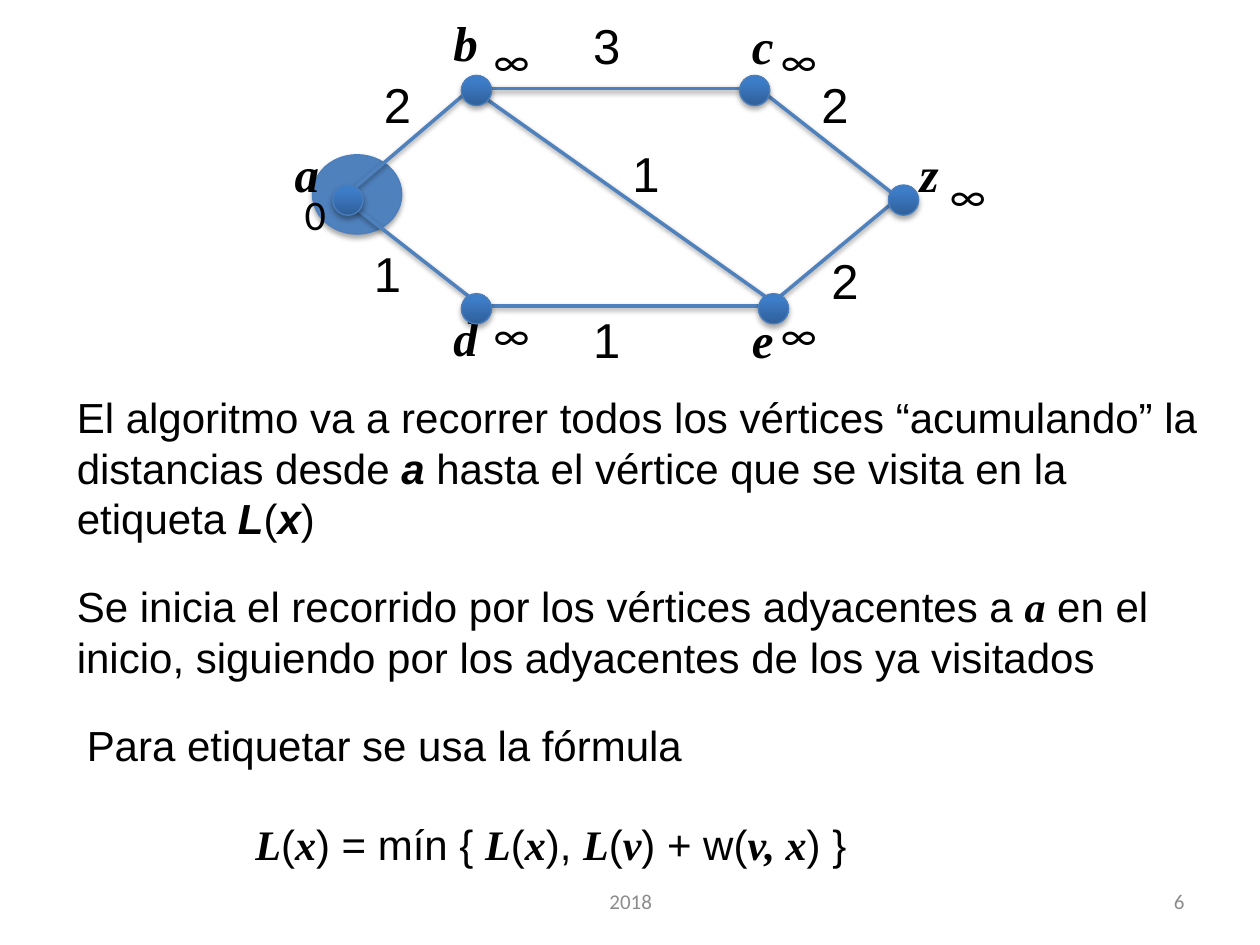
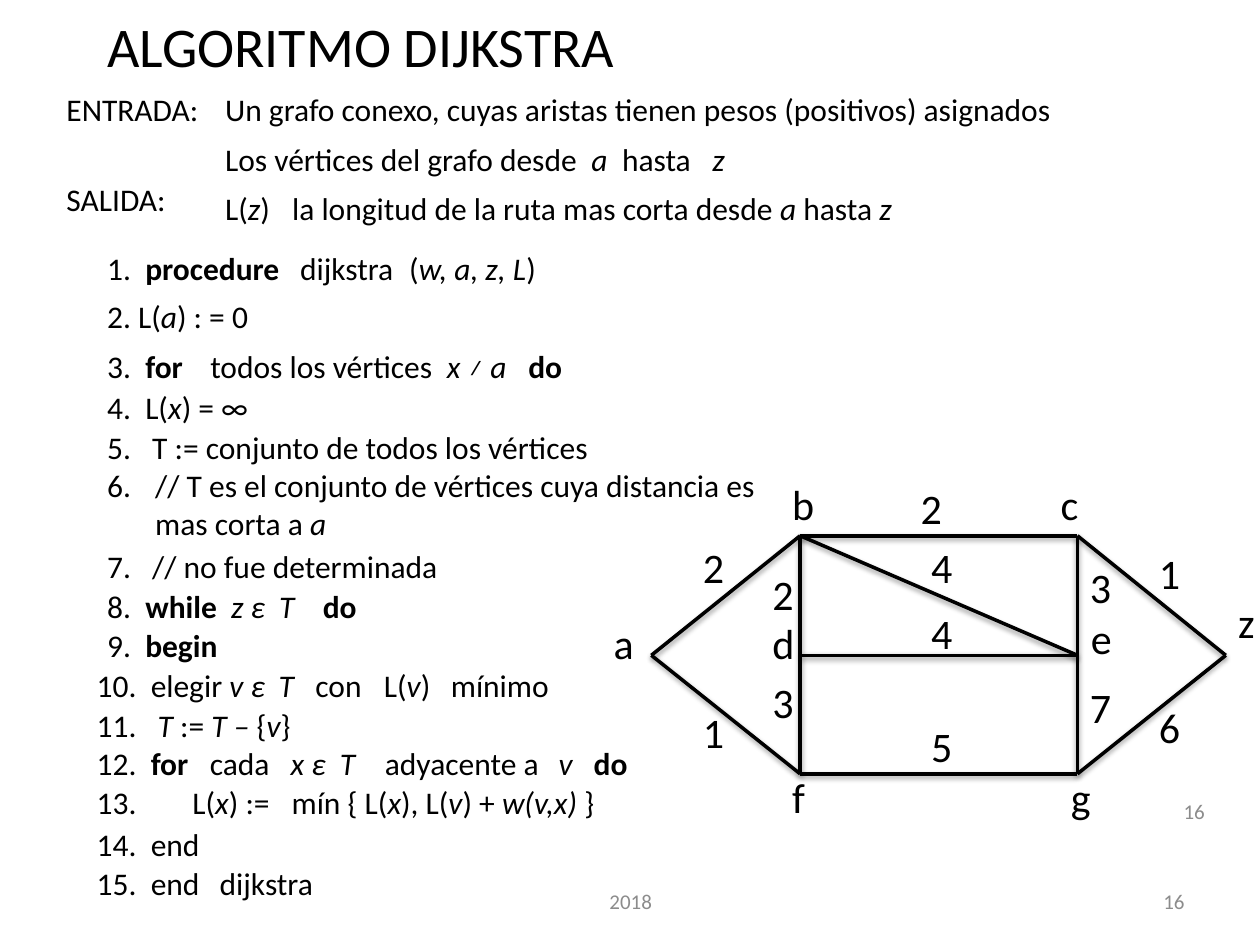
from lxml.etree import SubElement
from pptx import Presentation
from pptx.dml.color import RGBColor
from pptx.enum.shapes import MSO_CONNECTOR as CONN, MSO_SHAPE as SHAPE
from pptx.enum.text import MSO_ANCHOR as ANCHOR, MSO_AUTO_SIZE as AUTO, PP_ALIGN as ALIGN
from pptx.oxml.ns import qn
from pptx.util import Cm, Pt

BLACK = RGBColor(0x00, 0x00, 0x00)
GRAY = RGBColor(0x8C, 0x8C, 0x8C)
BLUE = RGBColor(0x4F, 0x81, 0xBD)
OUTLINE = RGBColor(0x4B, 0x7E, 0xBC)
NODE_DARK = RGBColor(0x2F, 0x5F, 0x99)
NODE_LIGHT = RGBColor(0x3D, 0x7C, 0xC7)

MARKS = {
    "~": {"italic": True},
    "*": {"bold": True},
    "#": {"bold": True, "italic": True},
    "$": {"bold": True, "italic": True, "name": "Times New Roman"},
}


def add_text(s, text, x, y, w, h, size=18, font="Calibri", color=BLACK, align=ALIGN.LEFT,
             anchor=ANCHOR.TOP, tabs=(), start=None, box=None):
    sp = box or s.shapes.add_textbox(0, 0, 0, 0)
    sp.left, sp.top, sp.width, sp.height = Cm(x), Cm(y), Cm(w), Cm(h)
    tf = sp.text_frame
    tf.word_wrap, tf.auto_size, tf.vertical_anchor = True, AUTO.NONE, anchor
    p = tf.paragraphs[0]
    p.alignment = align
    pPr = p._p.get_or_add_pPr()
    if start:
        pPr.set("marL", str(Cm(0.97)))
        pPr.set("indent", str(-Cm(0.97)))
        SubElement(pPr, qn("a:buFont"), typeface="+mj-lt")
        SubElement(pPr, qn("a:buAutoNum"), type="arabicPeriod", startAt=str(start))
    if tabs:
        tab_list = SubElement(pPr, qn("a:tabLst"))
        for pos in tabs:
            SubElement(tab_list, qn("a:tab"), pos=str(Cm(pos)), algn="l")
    for part in filter(None, text.split("|")):
        mark = MARKS.get(part[0], {})
        r = p.add_run()
        r.text = part[1:] if mark else part
        r.font.size, r.font.name, r.font.color.rgb = Pt(size), font, color
        for key, value in mark.items():
            setattr(r.font, key, value)


def outline(sp, color, width, dist, alpha):
    sp.line.color.rgb = color
    sp.line.width = Pt(width)
    effects = SubElement(sp._element.spPr, qn("a:effectLst"))
    shadow = SubElement(effects, qn("a:outerShdw"), blurRad=str(Pt(3.1)), dist=str(Pt(dist)),
                        dir="5400000", rotWithShape="0")
    black = SubElement(shadow, qn("a:srgbClr"), val="000000")
    SubElement(black, qn("a:alpha"), val=str(alpha * 1000))


prs = Presentation()
prs.slide_width, prs.slide_height = Cm(25.4), Cm(19.05)
labels = prs.slides.add_slide(prs.slide_layouts[6])
code = prs.slides.add_slide(prs.slide_layouts[5])

for s, number in ((labels, "6"), (code, "16")):
    add_text(s, "2018", 8.69, 17.65, 8.05, 1.02, size=12, color=GRAY, align=ALIGN.CENTER,
             anchor=ANCHOR.MIDDLE)
    add_text(s, number, 18.21, 17.65, 5.92, 1.02, size=12, color=GRAY, align=ALIGN.RIGHT,
             anchor=ANCHOR.MIDDLE)
add_text(code, "16", 18.62, 15.85, 5.92, 1.02, size=12, color=GRAY, align=ALIGN.RIGHT,
         anchor=ANCHOR.MIDDLE)

halo = labels.shapes.add_shape(SHAPE.OVAL, Cm(6.3), Cm(3.12), Cm(1.8), Cm(1.6))
halo.fill.solid()
halo.fill.fore_color.rgb = BLUE
outline(halo, OUTLINE, 0.75, 1.8, 35)

label_points = {"a": (6.91, 3.99), "b": (9.5, 1.78), "c": (15.29, 1.78), "d": (9.7, 6.17),
                "e": (15.49, 6.17), "E": (15.7, 6.17), "z": (18.11, 3.99)}
left, mid_left, mid_right, right = 13.13, 16.13, 21.72, 24.71
top, middle, bottom = 10.8, 13.21, 15.6
code_points = {"a": (left, middle), "b": (mid_left, top), "c": (mid_right, top),
               "d": (mid_left, middle), "e": (mid_right, middle), "f": (mid_left, bottom),
               "g": (mid_right, bottom), "z": (right, middle)}
for s, color, points, edges in (
    (labels, BLUE, label_points, "bc de ba ze da zc bE"),
    (code, BLACK, code_points, "bc de fg bf cg be ab af gz cz"),
):
    for v, w in edges.split():
        ends = [Cm(n) for n in points[v] + points[w]]
        line = s.shapes.add_connector(CONN.STRAIGHT, *ends)
        outline(line, color, 2, 1.6, 38)

for text, x, y, w, h in (
    ("El algoritmo va a recorrer todos los vértices “acumulando” la distancias desde |#a"
     "| hasta el vértice que se visita en la etiqueta |#L|(|#x|)", 1.3, 7.77, 23.6, 3.33),
    ("Se inicia el recorrido por los vértices adyacentes a |$a"
     "| en el inicio, siguiendo por los adyacentes de los ya visitados", 1.3, 11.58, 23.19, 2.31),
    ("Para etiquetar se usa la fórmula", 1.5, 14.38, 15.6, 1.27),
    ("$L|(|$x|) = mín { |$L|(|$x|), |$L|(|$v|) + w(|$v, x|) }", 4.9, 16.38, 15.6, 1.27),
):
    add_text(labels, text, x, y, w, h, size=24, font="Arial")

for text, x, y in (
    ("$a", 5.69, 2.77), ("$b", 8.89, 0.13), ("$c", 14.91, 0.18),
    ("$d", 8.89, 6.07), ("$e", 14.91, 6.12), ("$z", 18.29, 2.77),
    ("2", 7.49, 1.37), ("3", 11.71, 0.18), ("1", 11.71, 6.12), ("1", 12.5, 2.77),
    ("1", 7.29, 4.78), ("2", 16.31, 1.37), ("2", 16.51, 4.93),
):
    add_text(labels, text, x, y, 1.6, 1.45, size=28, font="Arial")

for x, y in ((6.71, 3.73), (9.3, 1.52), (9.3, 5.92), (14.91, 1.52), (15.29, 5.92), (17.91, 3.73)):
    node = labels.shapes.add_shape(SHAPE.OVAL, Cm(x), Cm(y), Cm(0.61), Cm(0.61))
    node.fill.gradient()
    node.fill.gradient_angle = 90
    for stop, color, pos in zip(node.fill.gradient_stops, (NODE_DARK, NODE_LIGHT), (0, 0.8)):
        stop.color.rgb = color
        stop.position = pos
    outline(node, OUTLINE, 0.75, 1.8, 35)

for text, x, y in (("0", 5.89, 3.68), ("∞", 9.7, 0.58), ("∞", 9.7, 6.1), ("∞", 15.49, 0.58),
                   ("∞", 15.49, 6.1), ("∞", 18.9, 3.3)):
    add_text(labels, text, x, y, 1.8, 1.27, size=24)

add_text(code, "ALGORITMO DIJKSTRA", 1.91, 0.1, 15.01, 1.63, size=32, box=code.shapes.title)
for text, x, y, w, tabs in (
    ("ENTRADA:", 1.09, 1.7, 4.19, ()),
    ("Un grafo conexo, cuyas aristas tienen pesos (positivos) asignados", 4.29, 1.7, 19.61, ()),
    ("Los vértices del grafo desde\t|~a|\thasta\t|~z", 4.29, 2.69, 14.6, (7.38, 8, 9.82)),
    ("SALIDA:", 1.09, 3.51, 4.19, ()),
    ("L(|~z|)\tla longitud de la ruta mas corta desde |~a| hasta |~z", 4.29, 3.68, 19.61, (1.35,)),
):
    add_text(code, text, x, y, w, 1.02, tabs=tabs)

for text, y, tabs in (
    ("1.\t|*procedure|\tdijkstra\t(|~w, a, z, L|)", 4.9, (0.77, 3.89, 6.09)),
    ("2. L(|~a|) : = 0", 5.87, ()),
    ("3.\t|*for|\ttodos los vértices\t|~x ≠ a|\t|*do", 6.88, (0.77, 2.08, 6.85, 8.49)),
    ("4.\tL(|~x|) = ∞", 7.7, (0.77,)),
    ("5.\tT := conjunto de todos los vértices", 8.51, (0.91,)),
    ("7.\t// no fue determinada", 10.9, (0.91,)),
    ("8.\t|*while|\t|~z ε\tT|\t|*do", 11.71, (0.77, 2.5, 3.47, 4.35)),
    ("9.\t|*begin", 12.5, (0.77,)),
    ("10.\telegir |~v ε\tT|\tcon\tL(|~v|)\tmínimo", 13.31, (1.09, 3.67, 4.41, 5.79, 7.14)),
    ("11.\t|~T| := |~T – |{|~v|}", 14.1, (1.23,)),
    ("12.\t|*for|\tcada\t|~x ε\tT|\tadyacente a\t|~v|\t|*do", 14.88,
     (1.09, 2.28, 3.91, 4.9, 5.81, 9.31, 10.02)),
    ("13.\tL(|~x|) :=\tmín { L(|~x|), L(|~v|) + |~w(v,x) |}", 15.67, (1.93, 3.93)),
    ("14.\tend", 16.51, (1.09,)),
    ("15.\tend\tdijkstra", 17.3, (1.09, 2.48)),
):
    add_text(code, text, 1.91 if y < 13 else 1.7, y, 14.2, 1.02, tabs=tabs)
add_text(code, "// T es el conjunto de vértices cuya distancia es mas corta a |~a",
         1.91, 9.27, 14.2, 1.8, start=6)

for text, x, y in (
    ("a", 12.12, 12.32), ("b", 15.72, 9.53), ("c", 21.13, 9.53), ("d", 15.32, 12.32),
    ("f", 15.72, 15.42), ("g", 21.34, 15.42), ("e", 21.74, 12.22), ("z", 24.71, 11.91),
    ("2", 13.92, 10.8), ("2", 15.32, 11.33), ("2", 18.31, 9.6), ("1", 13.92, 14.12),
    ("1", 23.11, 10.92), ("4", 18.52, 10.8), ("4", 18.52, 12.12), ("5", 18.52, 14.4),
    ("3", 21.72, 11.2), ("7", 21.72, 13.61), ("6", 23.11, 14.02), ("3", 15.32, 13.51),
):
    add_text(code, text, x, y, 1.19, 1.27, size=24)

prs.save("out.pptx")
